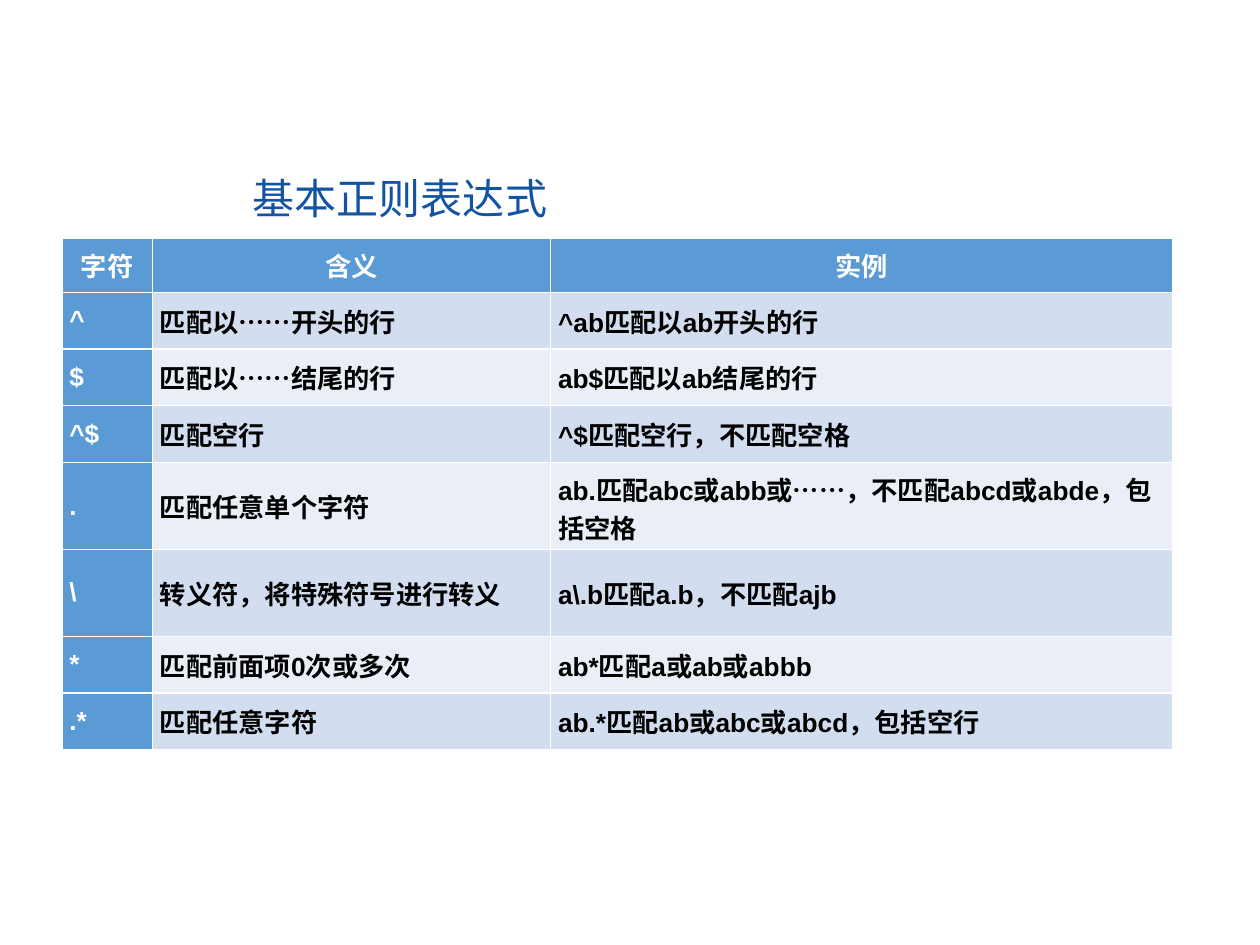
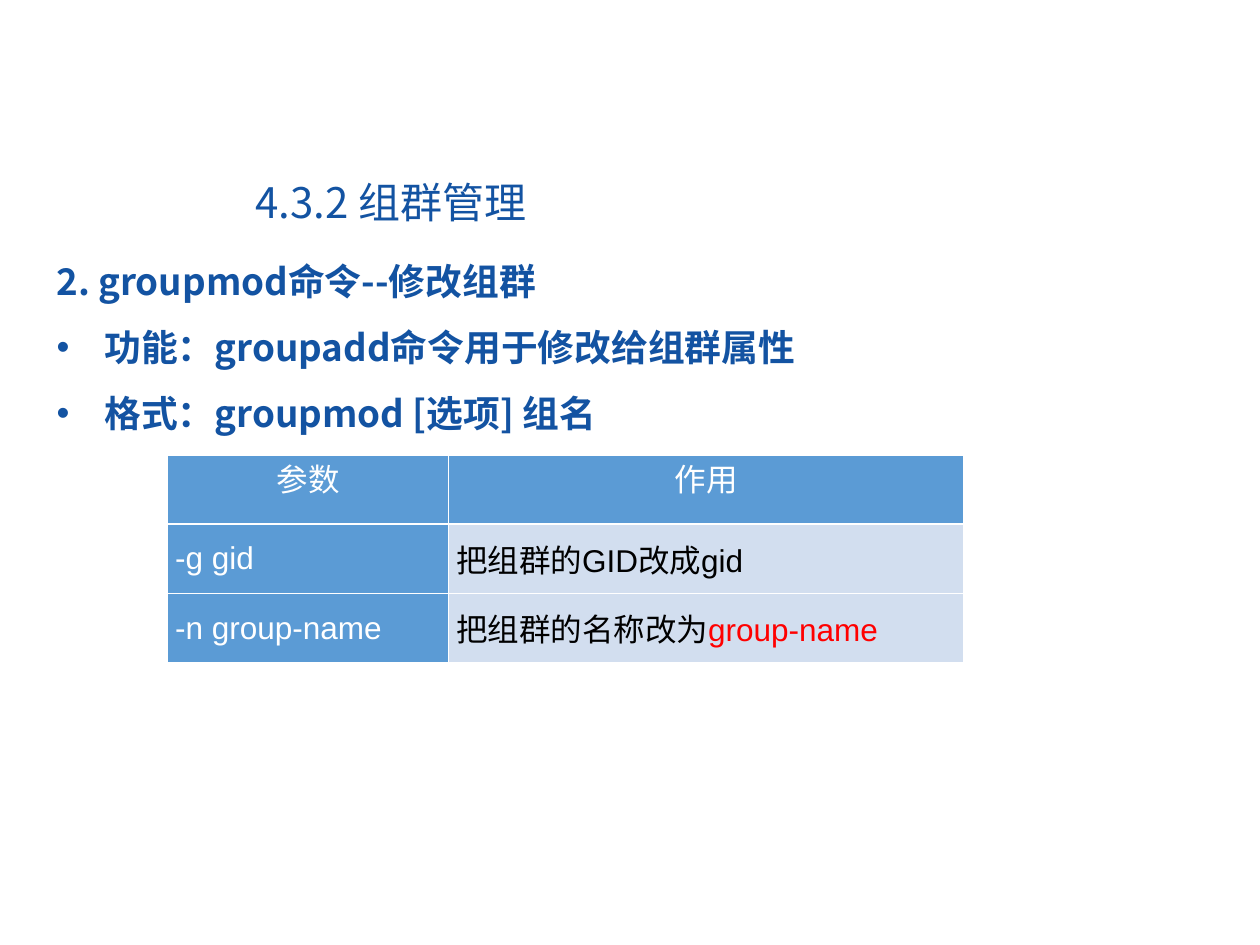
from lxml.etree import SubElement
from pptx import Presentation
from pptx.dml.color import RGBColor
from pptx.enum.text import MSO_ANCHOR, PP_ALIGN
from pptx.oxml.ns import qn
from pptx.util import Inches, Pt

# Shared look
CJK_FONT, TABLE_FONT = "Noto Sans CJK SC", "Arial"
NAVY, BLUE, WHITE, BLACK, RED = "1353A2", "5B9BD5", "FFFFFF", "000000", "FF0000"
BANDS = ["D2DEEF", "EAEFF7"]

REGEX_ROWS = [
    ("字符", "含义", "实例"),
    ("^", "匹配以……开头的行", "^ab匹配以ab开头的行"),
    ("$", "匹配以……结尾的行", "ab$匹配以ab结尾的行"),
    ("^$", "匹配空行", "^$匹配空行，不匹配空格"),
    (".", "匹配任意单个字符", "ab.匹配abc或abb或……，不匹配abcd或abde，包括空格"),
    ("\\", "转义符，将特殊符号进行转义", "a\\.b匹配a.b，不匹配ajb"),
    ("*", "匹配前面项0次或多次", "ab*匹配a或ab或abbb"),
    (".*", "匹配任意字符", "ab.*匹配ab或abc或abcd，包括空行"),
]
GROUPMOD_ROWS = [
    ("参数", "作用"),
    ("-g gid", "把组群的GID改成gid"),
    ("-n group-name", [("把组群的名称改为", BLACK), ("group-name", RED)]),
]


def rgb(value):
    return RGBColor.from_string(value)


def add_run(paragraph, text, size, color, font=CJK_FONT, bold=False):
    run = paragraph.add_run()
    run.text = text
    run.font.size = Pt(size)
    run.font.bold = bold
    run.font.color.rgb = rgb(color)
    run.font.name = font
    SubElement(run._r.get_or_add_rPr(), qn("a:ea"), typeface=CJK_FONT)


def add_text_frame(slide, left, top, width, height):
    box = slide.shapes.add_textbox(
        Inches(left), Inches(top), Inches(width), Inches(height))
    box.text_frame.word_wrap = True
    return box.text_frame


def add_title(slide, left, top, width, title):
    frame = add_text_frame(slide, left, top, width, 0.5)
    add_run(frame.paragraphs[0], title, 24, NAVY)


def add_command_notes(slide, left, top, width, height, heading, points):
    frame = add_text_frame(slide, left, top, width, height)
    for index, line in enumerate([heading, *points]):
        paragraph = frame.add_paragraph() if index else frame.paragraphs[0]
        paragraph.line_spacing = 1.5
        if index:
            properties = paragraph._p.get_or_add_pPr()
            properties.set("marL", str(Inches(0.38)))
            properties.set("indent", str(-Inches(0.38)))
            SubElement(properties, qn("a:buFont"), typeface=TABLE_FONT)
            SubElement(properties, qn("a:buChar"), char="•")
        add_run(paragraph, line, 21, NAVY, bold=True)


def style_cell(cell, fill, inset_y):
    cell.margin_left = cell.margin_right = Inches(0.06)
    cell.margin_top = cell.margin_bottom = Inches(inset_y)
    # Borders come before the fill in the cell properties
    properties = cell._tc.get_or_add_tcPr()
    for side in ("lnL", "lnR", "lnT", "lnB"):
        line = SubElement(properties, qn(f"a:{side}"), w=str(Pt(1)))
        SubElement(SubElement(line, qn("a:solidFill")), qn("a:srgbClr"), val=WHITE)
    cell.fill.solid()
    cell.fill.fore_color.rgb = rgb(fill)


def add_reference_table(slide, left, top, widths, heights, rows, size, bold=False,
                        inset_y=0.0, bands=BANDS, align=PP_ALIGN.LEFT,
                        header_anchor=MSO_ANCHOR.MIDDLE):
    table = slide.shapes.add_table(
        len(rows), len(widths), Inches(left), Inches(top),
        Inches(sum(widths)), Inches(sum(heights))).table
    for column, width in zip(table.columns, widths):
        column.width = Inches(width)
    for row, height in zip(table.rows, heights):
        row.height = Inches(height)
    for r, entries in enumerate(rows):
        for c, entry in enumerate(entries):
            header, cell = r == 0, table.cell(r, c)
            solid = header or c == 0
            style_cell(cell, BLUE if solid else bands[(r - 1) % len(bands)], inset_y)
            cell.vertical_anchor = header_anchor if header else MSO_ANCHOR.MIDDLE
            paragraph = cell.text_frame.paragraphs[0]
            paragraph.alignment = PP_ALIGN.CENTER if header else align
            if isinstance(entry, str):
                entry = [(entry, WHITE if solid else BLACK)]
            for text, color in entry:
                add_run(paragraph, text, size, color, TABLE_FONT, bold)


def build_regex_slide(slide):
    add_title(slide, 1.91, 1.32, 5.53, "基本正则表达式")
    heights = [0.43] + [0.45] * 3 + [0.69] * 2 + [0.45] * 2
    add_reference_table(slide, 0.49, 1.89, [0.72, 3.16, 4.94], heights,
                        REGEX_ROWS, 15, bold=True, inset_y=0.06)


def build_groupmod_slide(slide):
    add_title(slide, 1.93, 1.35, 3.96, "4.3.2 组群管理")
    add_command_notes(slide, 0.35, 1.83, 9.29, 1.63, "2. groupmod命令--修改组群", [
        "功能：groupadd命令用于修改给组群属性",
        "格式：groupmod [选项] 组名",
    ])
    add_reference_table(slide, 1.33, 3.61, [2.23, 4.09], [0.55] * 3,
                        GROUPMOD_ROWS, 18, bands=BANDS[:1],
                        align=PP_ALIGN.JUSTIFY, header_anchor=MSO_ANCHOR.TOP)


def main():
    deck = Presentation()
    deck.slide_width, deck.slide_height = Inches(10), Inches(7.5)
    for build in (build_regex_slide, build_groupmod_slide):
        build(deck.slides.add_slide(deck.slide_layouts[6]))
    deck.save("out.pptx")


if __name__ == "__main__":
    main()
